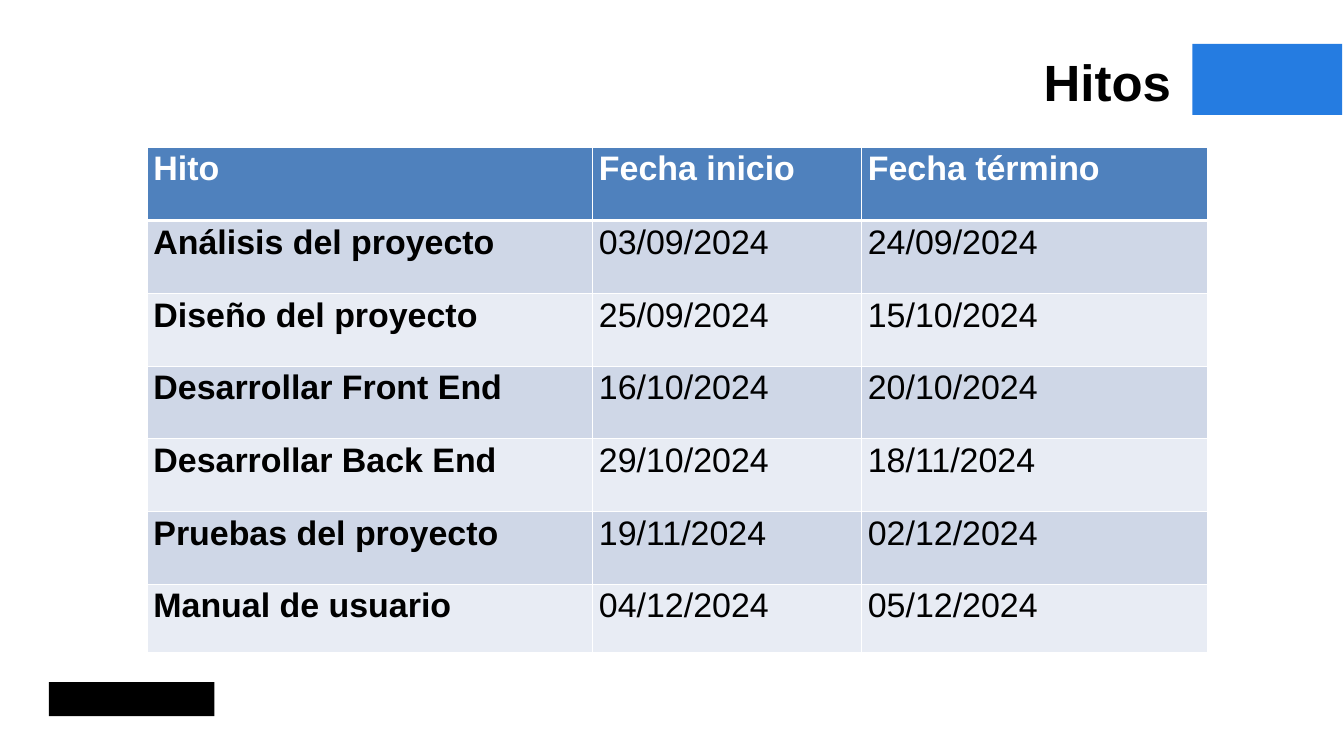
from dataclasses import dataclass
from lxml.etree import SubElement
from pptx import Presentation
from pptx.dml.color import RGBColor as Rgb
from pptx.enum.shapes import MSO_SHAPE as Shape
from pptx.enum.text import MSO_ANCHOR as Anchor, MSO_AUTO_SIZE as Fit, PP_ALIGN as Align
from pptx.oxml.ns import qn
from pptx.util import Inches, Pt

# Content
TITLE = "Hitos"
ROWS = [
    ("Hito", "Fecha inicio", "Fecha término"),
    ("Análisis del proyecto", "03/09/2024", "24/09/2024"),
    ("Diseño del proyecto", "25/09/2024", "15/10/2024"),
    ("Desarrollar Front End", "16/10/2024", "20/10/2024"),
    ("Desarrollar Back End", "29/10/2024", "18/11/2024"),
    ("Pruebas del proyecto", "19/11/2024", "02/12/2024"),
    ("Manual de usuario", "04/12/2024", "05/12/2024"),
]

# Layout in inches
WIDE, HIGH = 21.99, 12.37
TITLE_BOX = (0.8, 0.83, 18.36, 1.01)
ACCENT_BOX = (19.51, 0.72, 2.45, 1.16)
MARK_BOX = (0.8, 11.16, 2.71, 0.56)
LEFT, TOP = 2.41, 2.41
COLS = (7.29, 4.4, 5.66)
FIRST, ROW, LAST = 1.2, 1.19, 1.11


@dataclass
class Theme:
    font: str = "Arial"
    title: int = 60
    body: int = 40
    ink: str = "000000"
    white: str = "FFFFFF"
    accent: str = "257CE1"
    head: str = "4F81BD"
    bands: tuple = ("E8ECF4", "CFD7E7")
    line: int = 1
    rule: int = 3


theme = Theme()


def paint(fill, color):
    fill.solid()
    fill.fore_color.rgb = Rgb.from_string(color)


def write(frame, text, size, color, bold):
    run = frame.paragraphs[0].add_run()
    run.text = text
    font = run.font
    font.name, font.size, font.bold = theme.font, Pt(size), bold
    font.color.rgb = Rgb.from_string(color)


def edge(cell, side, width):
    line = SubElement(cell._tc.get_or_add_tcPr(), qn(f"a:ln{side}"), w=str(Pt(width)))
    fill = SubElement(line, qn("a:solidFill"))
    SubElement(fill, qn("a:srgbClr"), val=theme.white)


deck = Presentation()
deck.slide_width, deck.slide_height = Inches(WIDE), Inches(HIGH)
slide = deck.slides.add_slide(deck.slide_layouts[5])

# Accent block and footer mark
for box, color in ((ACCENT_BOX, theme.accent), (MARK_BOX, theme.ink)):
    block = slide.shapes.add_shape(Shape.RECTANGLE, *map(Inches, box))
    block.shadow.inherit = False
    paint(block.fill, color)
    block.line.fill.background()

# Title
title = slide.shapes.title
title.left, title.top, title.width, title.height = map(Inches, TITLE_BOX)
frame = title.text_frame
frame.auto_size, frame.vertical_anchor = Fit.NONE, Anchor.TOP
frame.margin_left = frame.margin_top = frame.margin_right = frame.margin_bottom = 0
frame.paragraphs[0].alignment = Align.RIGHT
write(frame, TITLE, theme.title, theme.ink, True)

# Milestone table
heights = [FIRST] + [ROW] * (len(ROWS) - 2) + [LAST]
grid = slide.shapes.add_table(
    len(ROWS), len(COLS), *map(Inches, (LEFT, TOP, sum(COLS), sum(heights)))).table
for col, width in zip(grid.columns, COLS):
    col.width = Inches(width)
for r, (texts, height) in enumerate(zip(ROWS, heights)):
    grid.rows[r].height = Inches(height)
    head = r == 0
    for c, text in enumerate(texts):
        cell = grid.cell(r, c)
        for side in "LRTB":
            thick = (r, side) in ((0, "B"), (1, "T"))
            edge(cell, side, theme.rule if thick else theme.line)
        paint(cell.fill, theme.head if head else theme.bands[r % 2])
        write(cell.text_frame, text, theme.body,
              theme.white if head else theme.ink, head or c == 0)

deck.save("out.pptx")
